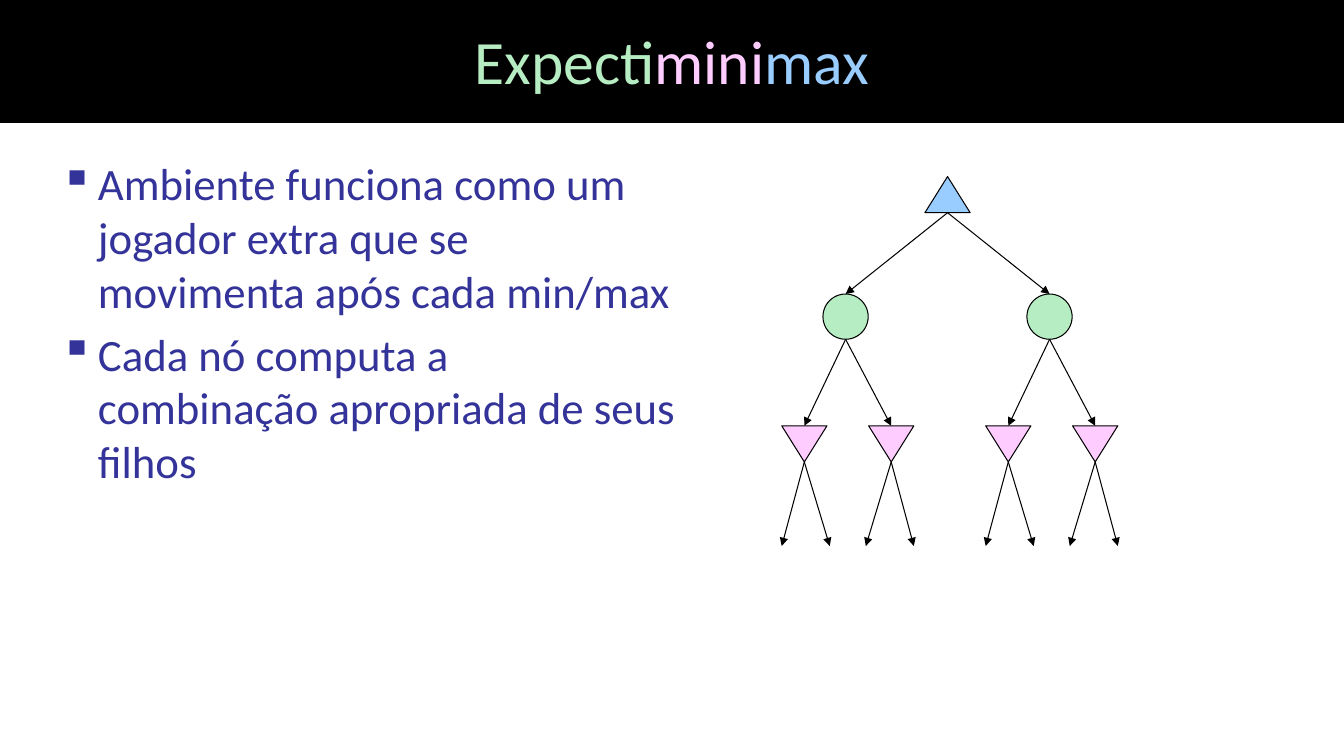
import pptx
import pptx.util
import pptx.dml.color
import pptx.enum.shapes
import pptx.enum.text
import pptx.oxml
import pptx.oxml.ns

Cm = pptx.util.Cm
Pt = pptx.util.Pt
RGBColor = pptx.dml.color.RGBColor
Shape = pptx.enum.shapes.MSO_SHAPE

BLACK = RGBColor(0x00, 0x00, 0x00)
NAVY = RGBColor(0x33, 0x33, 0x99)
GREEN = RGBColor(0xB6, 0xED, 0xC2)
PINK = RGBColor(0xFF, 0xCC, 0xFF)
BLUE = RGBColor(0x99, 0xCC, 0xFF)

NODE_WIDTH = 1.14
TRIANGLE_HEIGHT = 0.91
ROOT_X, ROOT_Y = 23.88, 4.45
CHANCE_Y, MIN_Y, LEAF_Y = 7.41, 10.73, 13.76
CHANCE_OFFSETS = (-2.57, 2.57)
MIN_BRANCHES = ((-1.04, (-0.57, 0.64)), (1.15, (-0.64, 0.57)))


class SlideBuilder:
    font_name = "Calibri"
    line_width = Pt(0.75)

    def __init__(self, slide):
        self.slide = slide

    def style_run(self, run, size, color):
        run.font.name = self.font_name
        run.font.size = Pt(size)
        run.font.color.rgb = color

    def title(self, left, top, width, height, parts):
        shape = self.slide.shapes.add_shape(
            Shape.RECTANGLE, Cm(left), Cm(top), Cm(width), Cm(height))
        shape.shadow.inherit = False
        shape.fill.solid()
        shape.fill.fore_color.rgb = BLACK
        shape.line.fill.background()
        shape.text_frame.vertical_anchor = pptx.enum.text.MSO_ANCHOR.MIDDLE
        paragraph = shape.text_frame.paragraphs[0]
        paragraph.alignment = pptx.enum.text.PP_ALIGN.CENTER
        for text, color in parts:
            run = paragraph.add_run()
            run.text = text
            self.style_run(run, 44, color)

    def bullets(self, left, top, width, height, items):
        box = self.slide.shapes.add_textbox(Cm(left), Cm(top), Cm(width), Cm(height))
        box.text_frame.word_wrap = True
        box.text_frame.text = "\n".join(items)
        for index, paragraph in enumerate(box.text_frame.paragraphs):
            properties = paragraph._p.get_or_add_pPr()
            properties.set("marL", str(Cm(0.95)))
            properties.set("indent", str(Cm(-0.95)))
            if index:
                paragraph.space_before = Pt(6.4)
            namespace = pptx.oxml.ns.nsdecls("a")
            properties.append(pptx.oxml.parse_xml(
                f'<a:buClr {namespace}><a:srgbClr val="{NAVY}"/></a:buClr>'))
            properties.append(pptx.oxml.parse_xml(f'<a:buChar {namespace} char="▪"/>'))
            self.style_run(paragraph.runs[0], 32, NAVY)

    def node(self, kind, center, top, height, color, rotation=0):
        shape = self.slide.shapes.add_shape(
            kind, Cm(center - NODE_WIDTH / 2), Cm(top), Cm(NODE_WIDTH), Cm(height))
        shape.rotation = rotation
        shape.shadow.inherit = False
        shape.fill.solid()
        shape.fill.fore_color.rgb = color
        shape.line.color.rgb = BLACK
        shape.line.width = self.line_width

    def arrow(self, start_x, start_y, end_x, end_y):
        connector = self.slide.shapes.add_connector(
            pptx.enum.shapes.MSO_CONNECTOR.STRAIGHT,
            Cm(start_x), Cm(start_y), Cm(end_x), Cm(end_y))
        connector.line.color.rgb = BLACK
        connector.line.width = self.line_width
        namespace = pptx.oxml.ns.nsdecls("a")
        connector.line._get_or_add_ln().append(
            pptx.oxml.parse_xml(f'<a:tailEnd {namespace} type="triangle"/>'))
        connector._element.spPr.append(pptx.oxml.parse_xml(f"<a:effectLst {namespace}/>"))

    def game_tree(self):
        self.node(Shape.ISOSCELES_TRIANGLE, ROOT_X, ROOT_Y, TRIANGLE_HEIGHT, BLUE)
        for chance_offset in CHANCE_OFFSETS:
            chance_x = ROOT_X + chance_offset
            self.arrow(ROOT_X, ROOT_Y + TRIANGLE_HEIGHT, chance_x, CHANCE_Y)
            self.node(Shape.OVAL, chance_x, CHANCE_Y, NODE_WIDTH, GREEN)
            for min_offset, leaf_offsets in MIN_BRANCHES:
                min_x = chance_x + min_offset
                self.arrow(chance_x, CHANCE_Y + NODE_WIDTH, min_x, MIN_Y)
                self.node(Shape.ISOSCELES_TRIANGLE, min_x, MIN_Y, TRIANGLE_HEIGHT, PINK, 180)
                for leaf_offset in leaf_offsets:
                    self.arrow(min_x, MIN_Y + TRIANGLE_HEIGHT, min_x + leaf_offset, LEAF_Y)


def main():
    presentation = pptx.Presentation()
    presentation.slide_width = Cm(33.87)
    presentation.slide_height = Cm(19.05)
    builder = SlideBuilder(presentation.slides.add_slide(presentation.slide_layouts[6]))
    builder.title(0, -0.08, 33.87, 3.18,
                  (("Expecti", GREEN), ("mini", PINK), ("max", BLUE)))
    builder.bullets(1.27, 3.81, 16.03, 13.97, (
        "Ambiente funciona como um jogador extra que se movimenta após cada min/max",
        "Cada nó computa a combinação apropriada de seus filhos"))
    builder.game_tree()
    presentation.save("out.pptx")


if __name__ == "__main__":
    main()
